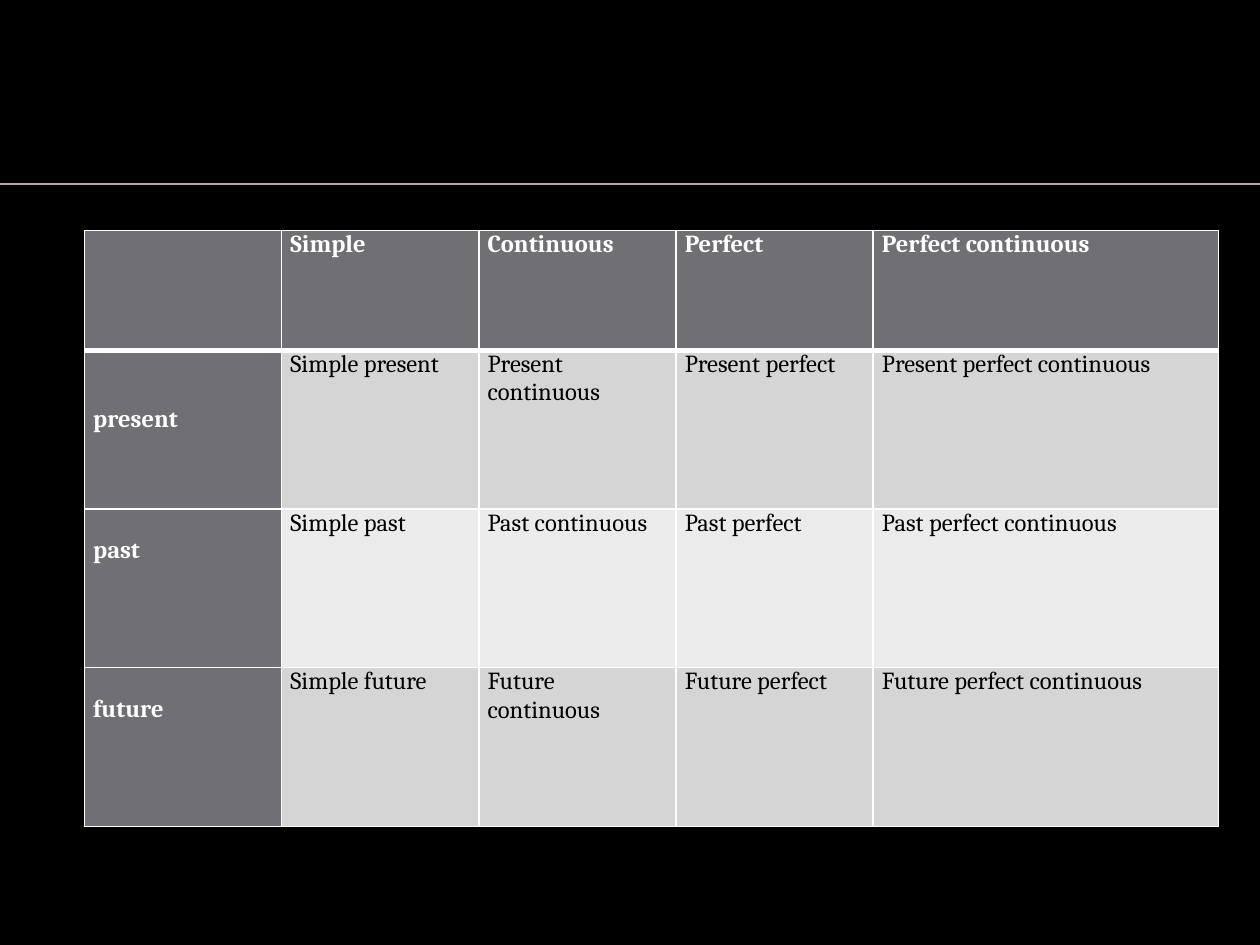
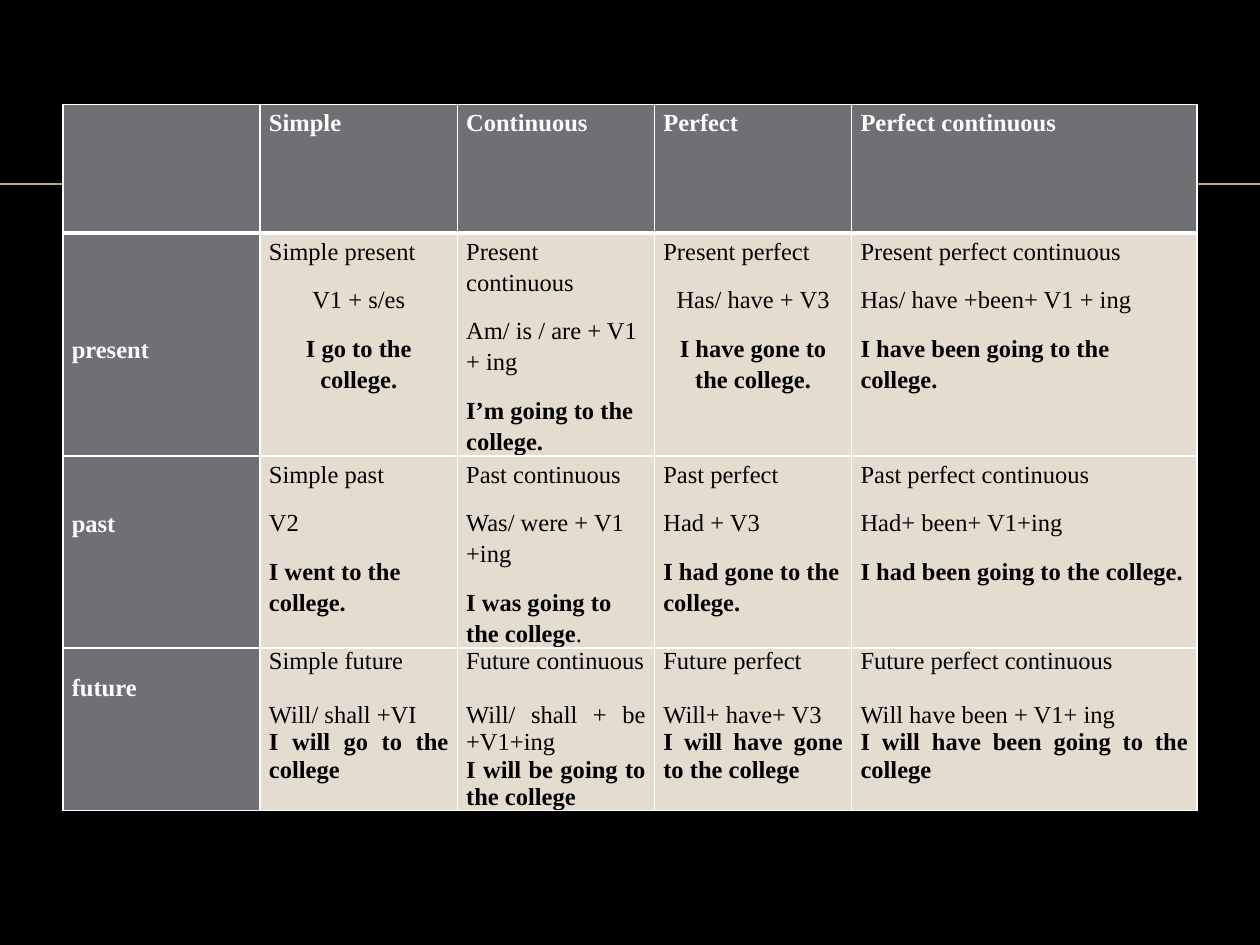
import pptx
import pptx.dml.color
import pptx.enum.text
import pptx.oxml
import pptx.oxml.ns
import pptx.util
from dataclasses import dataclass

Inches = pptx.util.Inches
ALIGN = pptx.enum.text.PP_ALIGN
WHITE, BLACK, GREY, SAND = "FFFFFF", "000000", "6F6F74", "E3DCCF"
BANDS = ("D5D5D6", "EBEBEB")
RULE = "BBAA8A"
TABLE_W, LAST_COL_W = 9, 2.74
HEADINGS = ("", "Simple", "Continuous", "Perfect", "Perfect continuous")
TIMES = ("present", "past", "future")
TENSES = (
    ("Simple present", "Present continuous", "Present perfect", "Present perfect continuous"),
    ("Simple past", "Past continuous", "Past perfect", "Past perfect continuous"),
    ("Simple future", "Future continuous", "Future perfect", "Future perfect continuous"),
)
FORMULAS = (
    ("V1 + s/es", "Am/ is / are + V1 + ing", "Has/ have + V3", "Has/ have +been+ V1 + ing"),
    ("V2", "Was/ were + V1 +ing", "Had + V3", "Had+ been+ V1+ing"),
    ("Will/ shall +VI", "Will/ shall + be +V1+ing", "Will+ have+ V3", "Will have been + V1+ ing"),
)
EXAMPLES = (
    ("I go to the college.", "I\u2019m going to the college.",
     "I have gone to the college.", "I have been going to the college."),
    ("I went to the college.", "I was going to the college",
     "I had gone to the college.", "I had been going to the college."),
    ("I will go to the college", "I will be going to the college",
     "I will have gone to the college", "I will have been going to the college"),
)
CENTRED = {"Simple present", "Present perfect"}
PLAIN_ENDINGS = {"Past continuous": "."}


@dataclass
class Style:
    """Paragraph setting of a table row."""
    font: str
    align: ALIGN
    line: float = 1.0
    after: float = 0
    name_after: float = 0
    top: float = 0


def rgb(value):
    """Turn a hex string into a colour."""
    return pptx.dml.color.RGBColor.from_string(value)


def add_rule(s, left, top, width):
    """Draw the thin horizontal rule."""
    cx = s.shapes.add_connector(1, Inches(left), Inches(top), Inches(left + width), Inches(top))
    cx.line.color.rgb = rgb(RULE)
    cx.line.width = pptx.util.Pt(1)
    pptx.oxml.ns.qn("a:effectLst")
    cx._element.spPr.append(pptx.oxml.parse_xml(
        '<a:effectLst xmlns:a="http://schemas.openxmlformats.org/drawingml/2006/main"/>'))


def add_borders(cell, top, bottom):
    """Give a cell white borders, with top and bottom widths in points."""
    tc_pr = cell._tc.get_or_add_tcPr()
    for side, width in (("L", 1), ("R", 1), ("T", top), ("B", bottom)):
        tc_pr.append(pptx.oxml.parse_xml(
            f'<a:ln{side} xmlns:a="http://schemas.openxmlformats.org/drawingml/2006/main" '
            f'w="{pptx.util.Pt(width)}"><a:solidFill><a:srgbClr val="{WHITE}"/></a:solidFill>'
            f'</a:ln{side}>'))


def add_paragraph(tf, first, runs, style, color, align, after):
    """Write one paragraph from (text, bold) runs."""
    p = tf.paragraphs[0] if first else tf.add_paragraph()
    p.alignment, p.line_spacing = align, style.line
    p.space_before, p.space_after = pptx.util.Pt(0), pptx.util.Pt(after)
    for text, bold in runs:
        r = p.add_run()
        r.text = text
        r.font.name, r.font.size, r.font.bold = style.font, pptx.util.Pt(14), bold
        r.font.color.rgb = rgb(color)


def fill_cell(cell, paragraphs, style, fill, color, drop=0):
    """Fill a cell; drop lowers its text by that many inches."""
    cell.margin_left = cell.margin_right = Inches(0.07)
    cell.margin_top, cell.margin_bottom = Inches(style.top + drop), 0
    cell.fill.solid()
    cell.fill.fore_color.rgb = rgb(fill)
    for i, (runs, align) in enumerate(paragraphs):
        after = style.name_after if i == 0 else style.after
        add_paragraph(cell.text_frame, i == 0, runs, style, color, align, after)


def tense_paragraphs(row, col, style, detailed):
    """List a tense's name and, if detailed, its formula and example."""
    name = TENSES[row][col]
    paragraphs = [([(name, False)], style.align)]
    if detailed:
        align = ALIGN.CENTER if name in CENTRED else style.align
        example = [(EXAMPLES[row][col], True)]
        if name in PLAIN_ENDINGS:
            example.append((PLAIN_ENDINGS[name], False))
        paragraphs += [([(FORMULAS[row][col], False)], align), (example, align)]
    return paragraphs


def add_tense_table(s, left, top, heights, styles, drops, fills, detailed):
    """Place the table of tenses, one style per row."""
    frame = s.shapes.add_table(4, 5, Inches(left), Inches(top),
                               Inches(TABLE_W), Inches(sum(heights)))
    table = frame.table
    table.first_row = table.horz_banding = False
    for i, column in enumerate(table.columns):
        column.width = Inches(LAST_COL_W if i == 4 else (TABLE_W - LAST_COL_W) / 4)
    for i, (row, height, style) in enumerate(zip(table.rows, heights, styles)):
        row.height = Inches(height)
        for j, cell in enumerate(row.cells):
            add_borders(cell, 3 if i == 1 else 1, 3 if i == 0 else 1)
            if i and j:
                paragraphs = tense_paragraphs(i - 1, j - 1, style, detailed)
                fill_cell(cell, paragraphs, style, fills[i - 1], BLACK)
            else:
                text = TIMES[i - 1] if i else HEADINGS[j]
                paragraphs = [([(text, True)], style.align)] if text else []
                fill_cell(cell, paragraphs, style, GREY, WHITE, drops[i - 1] if i else 0)


def add_slide(prs):
    """Add a black slide with the shared rule."""
    s = prs.slides.add_slide(prs.slide_layouts[6])
    s.background.fill.solid()
    s.background.fill.fore_color.rgb = rgb(BLACK)
    add_rule(s, 0, 1.46, 10)
    return s


def main():
    """Build and save the deck."""
    prs = pptx.Presentation()
    prs.slide_width, prs.slide_height = Inches(10), Inches(7.5)
    names = Style("Cambria", ALIGN.JUSTIFY)
    add_tense_table(add_slide(prs), 0.67, 1.83, (0.95, 1.26, 1.26, 1.26), [names] * 4,
                    (0.44, 0.22, 0.22), (BANDS[0], BANDS[1], BANDS[0]), False)
    airy = Style("Times New Roman", ALIGN.LEFT, 1.15, 10, 10, 0.01)
    tight = Style("Times New Roman", ALIGN.JUSTIFY, name_after=15.5)
    add_tense_table(add_slide(prs), 0.5, 0.83, (1.02, 1.77, 1.52, 1.29),
                    [airy, airy, airy, tight], (0.78, 0.39, 0.21), [SAND] * 3, True)
    prs.save("out.pptx")


main()
